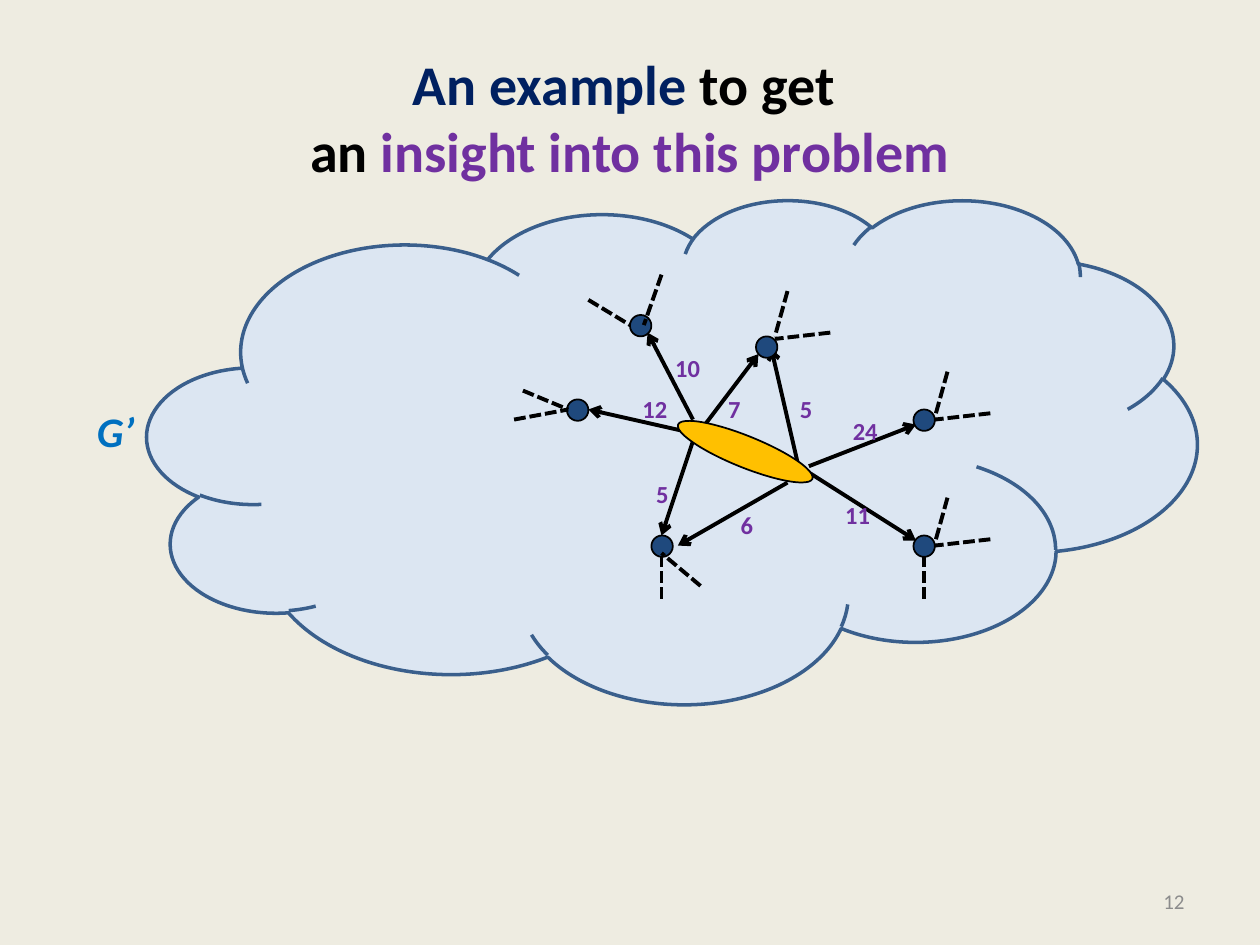
from lxml import etree
from pptx import Presentation
from pptx import util as u
from pptx.dml.color import RGBColor
from pptx.enum import dml, shapes, text
from pptx.oxml import ns

CREAM = RGBColor(0xEE, 0xEC, 0xE1)
BLACK = RGBColor(0, 0, 0)
DARK_BLUE = RGBColor(0x00, 0x20, 0x60)
PURPLE = RGBColor(0x70, 0x30, 0xA0)
GREY = RGBColor(0x8C, 0x8C, 0x8C)
PALE_BLUE = RGBColor(0xDC, 0xE6, 0xF2)
CLOUD_EDGE = RGBColor(0x3A, 0x5F, 0x8C)
NODE_BLUE = RGBColor(0x1F, 0x49, 0x7D)
SKY_BLUE = RGBColor(0x00, 0x70, 0xC0)
GOLD = RGBColor(0xFF, 0xC0, 0x00)

NODE_SIZE = 0.17
CLUSTER_ARROWS = [
    ((5.42, 3.42), (4.67, 3.25)),
    ((5.5, 3.5), (5.25, 4.25)),
    ((5.5, 3.33), (5.14, 2.64)),
    ((5.58, 3.39), (6.02, 2.81)),
    ((6.42, 3.7), (7.27, 3.37)),
    ((6.42, 3.75), (7.27, 4.29)),
    ((6.33, 3.67), (6.12, 2.76)),
    ((6.25, 3.83), (5.38, 4.33)),
]
LEFT_NODES = [(6, 2.67), (5.17, 4.25), (4.5, 3.17), (5, 2.5)]
RIGHT_NODES = [(7.25, 3.25), (7.25, 4.25)]
LOOSE_EDGES = [
    ((5.56, 4.65), (5.25, 4.39)),
    ((4.08, 3.33), (4.51, 3.25)),
    ((4.15, 3.1), (4.51, 3.25)),
    ((4.67, 2.38), (5, 2.58)),
    ((5.25, 2.18), (5.11, 2.58)),
]
FAN = [((0.61, 0.03), (0.17, 0.08)), ((0.27, -0.3), (0.17, 0.06))]
FAN_ORIGINS = [(5.98, 2.61)] + RIGHT_NODES
WEIGHTS = [
    ("5", 5.11, 3.75), ("12", 5, 3.08), ("10", 5.26, 2.75), ("7", 5.68, 3.08),
    ("6", 5.78, 4), ("5", 6.25, 3.08), ("11", 6.61, 3.92), ("24", 6.67, 3.25),
]


def lengths(*inches):
    return [u.Cm(2.54 * value) for value in inches]


class GraphSlide:
    font_name = "Calibri"

    def __init__(self, deck):
        self.page = deck.slides.add_slide(deck.slide_layouts[5])
        fill = self.page.background.fill
        fill.solid()
        fill.fore_color.rgb = CREAM

    def span(self, para, words, color, **style):
        span = para.add_run()
        span.text = words
        span.font.color.rgb = color
        for name, value in {"name": self.font_name, **style}.items():
            setattr(span.font, name, value)

    def place(self, item, *inches):
        for name, value in zip(("left", "top", "width", "height"), lengths(*inches)):
            setattr(item, name, value)

    def title(self, lines):
        box = self.page.shapes.title
        self.place(box, 0.5, 0.3, 9, 1.25)
        box.text_frame.vertical_anchor = text.MSO_ANCHOR.MIDDLE
        para = box.text_frame.paragraphs[0]
        para.alignment = text.PP_ALIGN.CENTER
        for index, spans in enumerate(lines):
            if index:
                para.add_line_break()
            for words, color in spans:
                self.span(para, words, color, size=u.Pt(32), bold=True)

    def label(self, words, at, color, size, align=None, **style):
        box = self.page.shapes.add_textbox(*lengths(*at))
        frame = box.text_frame
        fixed = align is not None
        fit = text.MSO_AUTO_SIZE
        settings = {
            "word_wrap": fixed,
            "auto_size": fit.NONE if fixed else fit.SHAPE_TO_FIT_TEXT,
            "vertical_anchor": text.MSO_ANCHOR.MIDDLE if fixed else text.MSO_ANCHOR.TOP,
        }
        for name, value in settings.items():
            setattr(frame, name, value)
        para = frame.paragraphs[0]
        para.alignment = align
        self.span(para, words, color, size=u.Pt(size), **style)

    def shape(self, kind, at, fill, line=BLACK, width=1, rotation=0):
        shape = self.page.shapes.add_shape(kind, *lengths(*at))
        shape.shadow.inherit = False
        shape.rotation = rotation
        shape.fill.solid()
        shape.fill.fore_color.rgb = fill
        shape.line.color.rgb = line
        shape.line.width = u.Pt(width)

    def node(self, left, top):
        self.shape(shapes.MSO_SHAPE.OVAL, (left, top, NODE_SIZE, NODE_SIZE), NODE_BLUE)

    def edge(self, start, end, arrow=False):
        edge = self.page.shapes.add_connector(
            shapes.MSO_CONNECTOR.STRAIGHT, *lengths(*start, *end))
        edge.line.color.rgb = BLACK
        edge.line.width = u.Pt(2.25)
        if arrow:
            tail = etree.SubElement(edge.line._get_or_add_ln(), ns.qn("a:tailEnd"))
            tail.set("type", "arrow")
        else:
            edge.line.dash_style = dml.MSO_LINE.SQUARE_DOT
        etree.SubElement(edge._element.spPr, ns.qn("a:effectLst"))


def main():
    deck = Presentation()
    deck.slide_width, deck.slide_height = lengths(10, 7.5)
    slide = GraphSlide(deck)
    slide.title([
        [("An example ", DARK_BLUE), ("to get ", BLACK)],
        [("an ", BLACK), ("insight into this problem", PURPLE)],
    ])
    slide.label("12", (7.17, 6.95, 2.33, 0.4), GREY, 12, text.PP_ALIGN.RIGHT)
    slide.shape(shapes.MSO_SHAPE.CLOUD, (1.17, 1.58, 8.33, 4), PALE_BLUE, CLOUD_EDGE, 2)
    slide.label("G’", (0.67, 3.17, 0.5, 0.5), SKY_BLUE, 24, bold=True, italic=True)

    for start, end in CLUSTER_ARROWS:
        slide.edge(start, end, arrow=True)
    for left, top in LEFT_NODES:
        slide.node(left, top)
    for start, end in LOOSE_EDGES:
        slide.edge(start, end)
    for x in (5.25, 7.33):
        slide.edge((x, 4.75), (x, 4.42))
    for left, top in FAN_ORIGINS:
        for (x1, y1), (x2, y2) in FAN:
            slide.edge((left + x1, top + y1), (left + x2, top + y2))
    for words, left, top in WEIGHTS:
        width = 0.2 + 0.1 * len(words)
        slide.label(words, (left, top, width, 0.34), PURPLE, 14, bold=True)
    for left, top in RIGHT_NODES:
        slide.node(left, top)
    slide.shape(shapes.MSO_SHAPE.OVAL, (5.34, 3.46, 1.15, 0.25), GOLD, rotation=22)
    deck.save("out.pptx")


if __name__ == "__main__":
    main()
